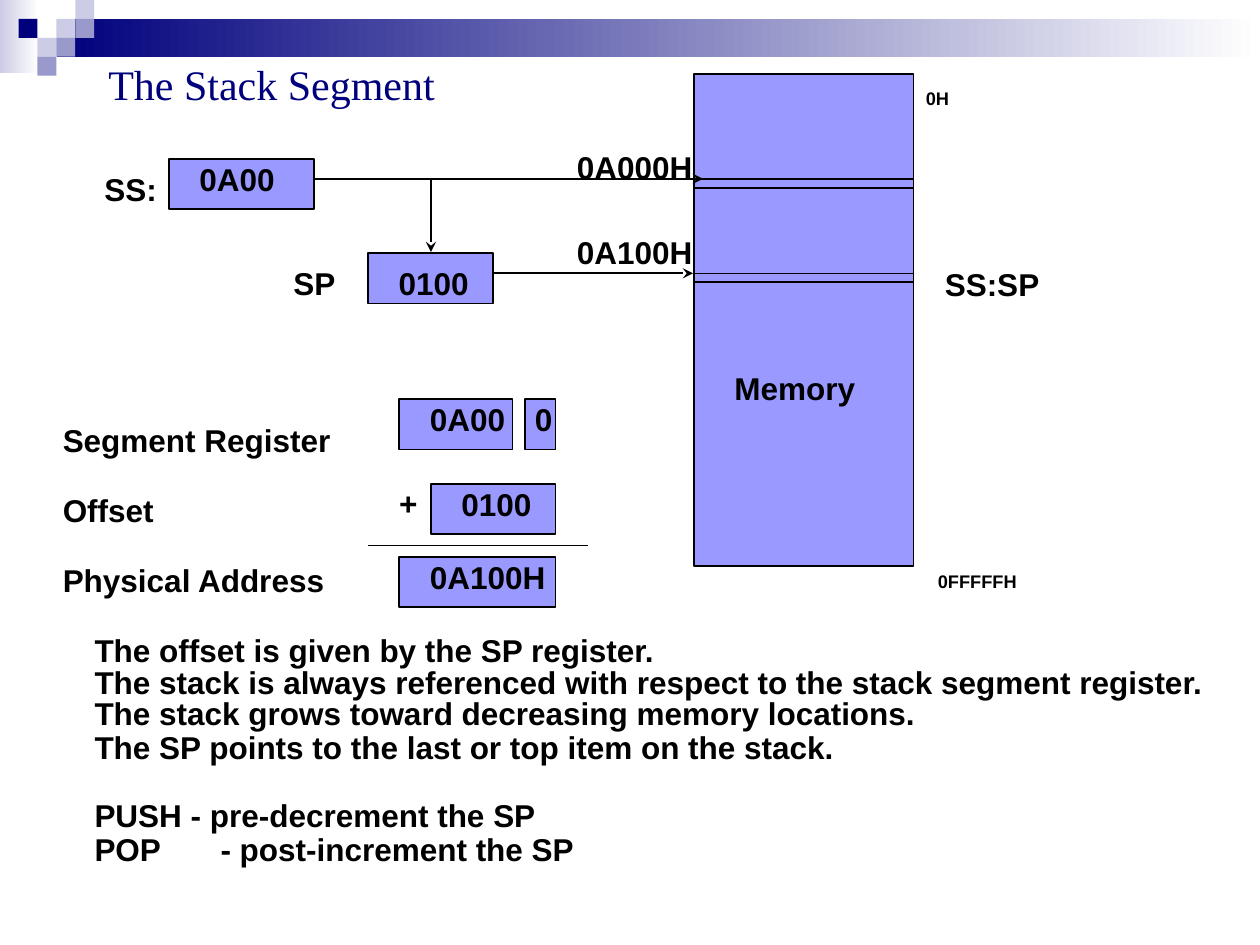
from lxml import etree
from pptx import Presentation
from pptx.dml.color import RGBColor
from pptx.enum import shapes, text
from pptx.oxml.ns import qn
from pptx.util import Pt

BLACK, NAVY, MID, PALE, BOX, WHITE = "000000", "00007D", "9999CC", "CCCCE6", "9999FF", "FFFFFF"


def rgb(color):
    return RGBColor.from_string(color)


def add_rect(s, x, y, w, h, fill, line=None):
    sp = s.shapes.add_shape(shapes.MSO_SHAPE.RECTANGLE, Pt(x), Pt(y), Pt(w), Pt(h))
    sp.shadow.inherit = False
    if isinstance(fill, tuple):
        sp.fill.gradient()
        sp.fill.gradient_angle = 0
        for stop, color in zip(sp.fill.gradient_stops, fill):
            stop.color.rgb = rgb(color)
    else:
        sp.fill.solid()
        sp.fill.fore_color.rgb = rgb(fill)
    if line:
        sp.line.color.rgb = rgb(line)
        sp.line.width = Pt(1)
    else:
        sp.line.fill.background()
    return sp


def add_line(s, x1, y1, x2, y2, arrow=False):
    cn = s.shapes.add_connector(shapes.MSO_CONNECTOR.STRAIGHT, Pt(x1), Pt(y1), Pt(x2), Pt(y2))
    cn.line.color.rgb = rgb(BLACK)
    cn.line.width = Pt(1)
    if arrow:
        etree.SubElement(cn.line._get_or_add_ln(), qn("a:tailEnd"), type="stealth")
    etree.SubElement(cn._element.spPr, qn("a:effectLst"))


def set_insets(tf, left, top, right, bottom):
    tf.margin_left, tf.margin_top = Pt(left), Pt(top)
    tf.margin_right, tf.margin_bottom = Pt(right), Pt(bottom)


def write(tf, lines, size=18, font="Arial", color=BLACK, bold=True, gap=0, spacing=0.9):
    tf.vertical_anchor = text.MSO_ANCHOR.TOP
    for i, line in enumerate(lines):
        p = tf.add_paragraph() if i else tf.paragraphs[0]
        p.text = line
        p.alignment = text.PP_ALIGN.LEFT
        p.line_spacing = spacing
        p.space_before = Pt(gap if i else 0)
        p.font.size, p.font.name, p.font.bold = Pt(size), font, bold
        p.font.color.rgb = rgb(color)


def add_label(s, x, y, w, *lines, h=26.6, gap=0, subscript=False):
    tf = s.shapes.add_textbox(Pt(x), Pt(y), Pt(w), Pt(h)).text_frame
    tf.word_wrap = False
    set_insets(tf, 7.2, 3.6, 7.2, 3.6)
    write(tf, lines, gap=gap)
    if subscript:
        for r in tf.paragraphs[0].runs:
            r._r.get_or_add_rPr().set("baseline", "-25000")


def add_register(s, x, y, w, value, inset=17.5, top=3):
    tf = add_rect(s, x, y, w, 28.8, BOX, BLACK).text_frame
    tf.word_wrap = True
    set_insets(tf, inset, top, 0, 0)
    write(tf, [value])


def header_band(s, x, y, w, cell):
    add_rect(s, x, y, 22.3, 41.8, (PALE, WHITE))
    add_rect(s, x + 32.4, y + cell, w - 32.4, 21.6, (NAVY, WHITE))
    # Checker squares as (column, row, colour)
    squares = [(2, 1, PALE), (3, 0, PALE), (3, 1, MID), (1, 2, PALE),
               (0, 1, NAVY), (2, 2, MID), (1, 3, MID)]
    for col, row, color in squares:
        add_rect(s, x + 10.6 + col * cell, y + row * cell, cell, cell, color)


def title(s, x, y, w, h):
    sp = s.shapes.title
    sp.left, sp.top, sp.width, sp.height = Pt(x), Pt(y), Pt(w), Pt(h)
    tf = sp.text_frame
    tf.auto_size, tf.word_wrap = text.MSO_AUTO_SIZE.NONE, False
    set_insets(tf, 5, 2.5, 5, 2.5)
    write(tf, ["The Stack Segment"], 24, "Times New Roman", NAVY, bold=False, spacing=1.0)
    tf.paragraphs[0].alignment = text.PP_ALIGN.CENTER


def memory_map(s, x, y, w, h):
    add_rect(s, x, y, w, h, BOX, BLACK)
    for offset in (59.9, 113.9):
        add_rect(s, x, y + offset, w, 5, BOX, BLACK)
    add_label(s, x + 15.9, y + 167.2, 83.5, "Memory")
    add_label(s, x + w, y - 7.7, 28, "0H", h=29.5, subscript=True)
    add_label(s, x + w + 6.8, y + h - 13, 59.8, "0FFFFFH", h=29.5, subscript=True)
    add_label(s, x + w + 10.8, y + 107.6, 68.4, "SS:SP")


def address_flow(s, x, y, w):
    """Registers pointing to the memory block at the right edge."""
    ss_line, sp_line = y + 11.5, y + 65.5
    add_register(s, x + 43.9, y, 82.8, "0A00")
    add_register(s, x + 157.7, y + 54, 71.3, "0100", top=8.6)
    add_line(s, x + 127.4, ss_line, x + w + 5, ss_line, arrow=True)
    add_line(s, x + 193.7, ss_line, x + 193.7, y + 53.3, arrow=True)
    add_line(s, x + 229.7, sp_line, x + w - 0.7, sp_line, arrow=True)
    add_label(s, x, y + 5.1, 44.6, "SS:")
    add_label(s, x + 108, y + 59.1, 38.9, "SP")
    add_label(s, x + 270, y - 7.2, 80.6, "0A000H")
    add_label(s, x + 270, y + 41.1, 80.6, "0A100H")


def address_sum(s, x, y):
    add_label(s, x, y + 11.5, 167.8, "Segment Register", "Offset", "Physical Address",
              h=104.4, gap=20.3)
    add_register(s, x + 199.4, y, 64.8, "0A00")
    add_register(s, x + 271.4, y, 17.3, "0", inset=5.5)
    add_label(s, x + 192.2, y + 47.5, 25.2, "+")
    add_register(s, x + 217.4, y + 48.2, 71.3, "0100")
    add_line(s, x + 181.4, y + 83.5, x + 307.4, y + 83.5)
    add_register(s, x + 199.4, y + 90, 89.3, "0A100H")


def notes_list(s, body, x, y, w, h):
    body.left, body.top, body.width, body.height = Pt(x), Pt(y), Pt(w), Pt(h)
    tf = body.text_frame
    tf.auto_size, tf.word_wrap = text.MSO_AUTO_SIZE.NONE, True
    set_insets(tf, 7.2, 3.6, 0, 3.6)
    write(tf, ["The offset is given by the SP register.",
               "The stack is always referenced with respect to the stack segment register.",
               "The stack grows toward decreasing memory locations.",
               "The SP points to the last or top item on the stack.",
               "PUSH - pre-decrement the SP",
               "POP\t- post-increment the SP"], spacing=Pt(18))
    for i, p in enumerate(tf.paragraphs):
        if i > 2:
            p.line_spacing = Pt(19.44)
        if i == 4:
            p.space_before = Pt(19.44)
        pPr = p._p.get_or_add_pPr()
        pPr.set("marL", "0")
        pPr.set("indent", "0")
        bullet = etree.Element(qn("a:buNone"))
        tabs = etree.Element(qn("a:tabLst"))
        etree.SubElement(tabs, qn("a:tab"), pos=str(Pt(53)), algn="l")
        # Bullet and tabs stand between the spacing and the font
        pPr.find(qn("a:defRPr")).addprevious(bullet)
        bullet.addnext(tabs)


def main():
    prs = Presentation()
    prs.slide_width, prs.slide_height = Pt(720), Pt(540)
    s = prs.slides.add_slide(prs.slide_layouts[1])
    header_band(s, 0, 0, 720, 10.8)
    title(s, 56.9, 31, 196.6, 33.1)
    memory_map(s, 396.7, 42.5, 125.3, 280.8)
    address_flow(s, 52.6, 90.7, 344.1)
    address_sum(s, 28.8, 228.2)
    notes_list(s, s.placeholders[1], 46.8, 360.6, 660, 140)
    prs.save("out.pptx")


if __name__ == "__main__":
    main()
